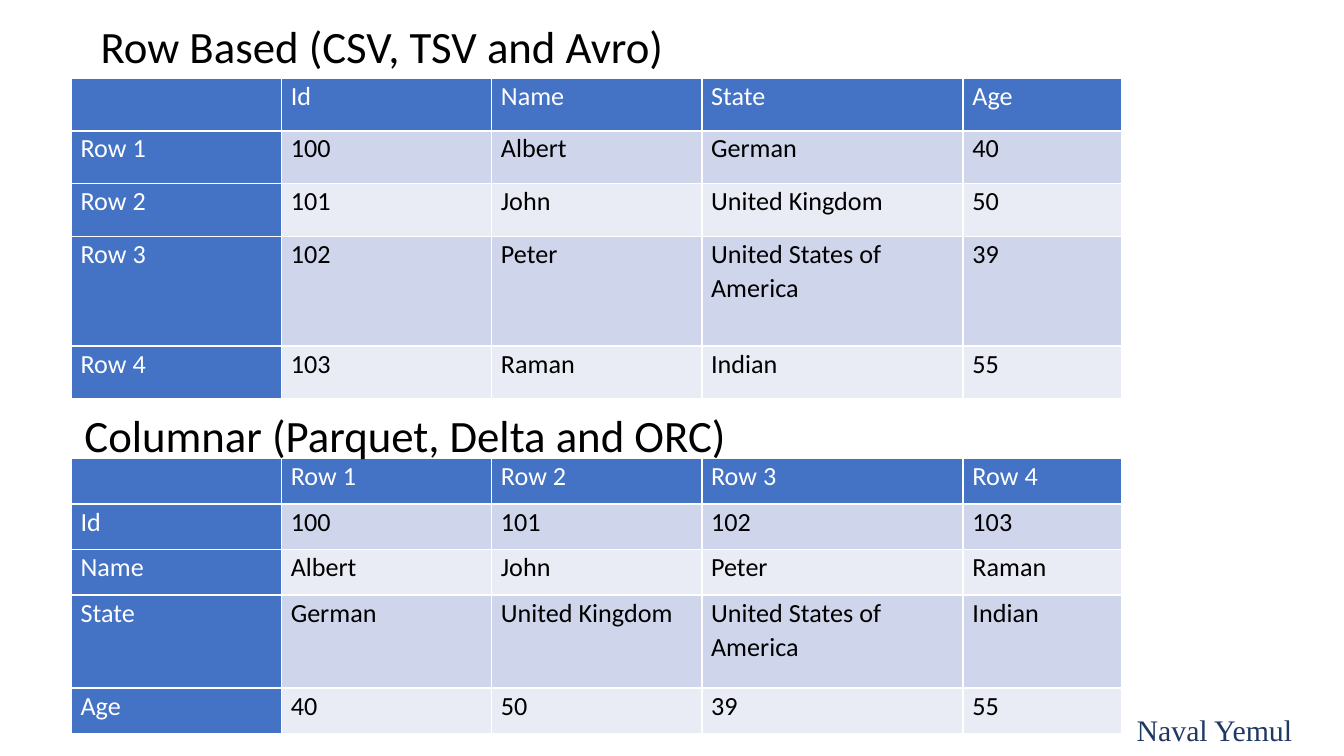
from dataclasses import dataclass

from lxml.etree import SubElement
from pptx import Presentation
from pptx.dml.color import RGBColor
from pptx.enum.shapes import MSO_SHAPE as Preset
from pptx.enum.text import MSO_AUTO_SIZE as AutoSize, PP_ALIGN as Align
from pptx.oxml.ns import qn
from pptx.slide import Slide
from pptx.table import _Cell as Cell
from pptx.text.text import TextFrame
from pptx.util import Inches, Pt

WHITE = RGBColor(0xFF, 0xFF, 0xFF)
BLACK = RGBColor(0x00, 0x00, 0x00)
BLUE = RGBColor(0x44, 0x72, 0xC4)
NAVY = RGBColor(0x20, 0x38, 0x64)
BANDS = (RGBColor(0xCF, 0xD5, 0xEA), RGBColor(0xE9, 0xEB, 0xF5))

SLIDE_WIDTH = 10
TABLE_LEFT = 0.53
TABLE_WIDTH = 7.82
COLUMN_SHARES = (1.56, 1.56, 1.56, 1.94, 1.18)
RECORDS = (
    ("", "Id", "Name", "State", "Age"),
    ("Row 1", "100", "Albert", "German", "40"),
    ("Row 2", "101", "John", "United Kingdom", "50"),
    ("Row 3", "102", "Peter", "United States of America", "39"),
    ("Row 4", "103", "Raman", "Indian", "55"),
)


@dataclass(frozen=True)
class Layout:
    heading: str
    heading_left: float
    heading_top: float
    table_top: float
    table_height: float
    row_shares: tuple[float, ...]
    rows: tuple[tuple[str, ...], ...]


LAYOUTS = (
    Layout("Row Based (CSV, TSV and Avro)", 0.65, 0.06, 0.58, 2.39,
           (0.39, 0.39, 0.39, 0.81, 0.39), RECORDS),
    Layout("Columnar (Parquet, Delta and ORC)", 0.53, 2.96, 3.41, 2.05,
           (0.34, 0.34, 0.34, 0.69, 0.34), tuple(zip(*RECORDS))),
)


def divide(total: float, shares: tuple[float, ...]) -> list[Inches]:
    return [Inches(total * share / sum(shares)) for share in shares]


def write(frame: TextFrame, text: str, size: int, color: RGBColor,
          font: str = "Calibri") -> None:
    paragraph = frame.paragraphs[0]
    paragraph.alignment = Align.LEFT
    if font == "Calibri":
        paragraph.line_spacing = 1.07
        paragraph.space_after = Pt(8)
    run = paragraph.add_run()
    run.text = text
    run.font.size = Pt(size)
    run.font.name = font
    run.font.color.rgb = color


def draw_borders(cell: Cell) -> None:
    properties = cell._tc.get_or_add_tcPr()
    for side in "LRTB":
        line = SubElement(properties, qn(f"a:ln{side}"), w=str(Pt(1)))
        fill = SubElement(line, qn("a:solidFill"))
        SubElement(fill, qn("a:srgbClr"), val=str(WHITE))


def draw_cell(cell: Cell, text: str, row: int, column: int) -> None:
    is_header = row == 0 or column == 0
    cell.margin_left = cell.margin_right = Inches(0.07)
    cell.margin_top = cell.margin_bottom = Inches(0)
    draw_borders(cell)
    cell.fill.solid()
    cell.fill.fore_color.rgb = BLUE if is_header else BANDS[(row - 1) % 2]
    if text:
        write(cell.text_frame, text, 14, WHITE if is_header else BLACK)


def draw_table(slide: Slide, layout: Layout) -> None:
    table = slide.shapes.add_table(
        len(layout.rows), len(COLUMN_SHARES),
        Inches(TABLE_LEFT), Inches(layout.table_top),
        Inches(TABLE_WIDTH), Inches(layout.table_height),
    ).table
    table.first_col = True
    for column, width in zip(table.columns, divide(TABLE_WIDTH, COLUMN_SHARES)):
        column.width = width
    for row, height in zip(table.rows, divide(layout.table_height, layout.row_shares)):
        row.height = height
    for r, values in enumerate(layout.rows):
        for c, value in enumerate(values):
            draw_cell(table.cell(r, c), value, r, c)


def draw_heading(slide: Slide, layout: Layout) -> None:
    heading = slide.shapes.add_textbox(
        Inches(layout.heading_left), Inches(layout.heading_top),
        Inches(5.03), Inches(0.51))
    heading.text_frame.word_wrap = True
    heading.text_frame.auto_size = AutoSize.SHAPE_TO_FIT_TEXT
    write(heading.text_frame, layout.heading, 24, BLACK)


def draw_author(slide: Slide) -> None:
    author = slide.shapes.add_shape(
        Preset.RECTANGLE, Inches(8.36), Inches(5.24), Inches(1.63), Inches(0.37))
    author.shadow.inherit = False
    author.fill.solid()
    author.fill.fore_color.rgb = WHITE
    author.line.fill.background()
    author.text_frame.word_wrap = True
    author.text_frame.auto_size = AutoSize.SHAPE_TO_FIT_TEXT
    write(author.text_frame, "Naval Yemul", 16, NAVY, "Times New Roman")


def main() -> None:
    deck = Presentation()
    deck.slide_width = Inches(SLIDE_WIDTH)
    deck.slide_height = Inches(SLIDE_WIDTH * 9 / 16)
    slide = deck.slides.add_slide(deck.slide_layouts[6])
    for layout in LAYOUTS:
        draw_table(slide, layout)
    for layout in LAYOUTS:
        draw_heading(slide, layout)
    draw_author(slide)
    deck.save("out.pptx")


if __name__ == "__main__":
    main()
